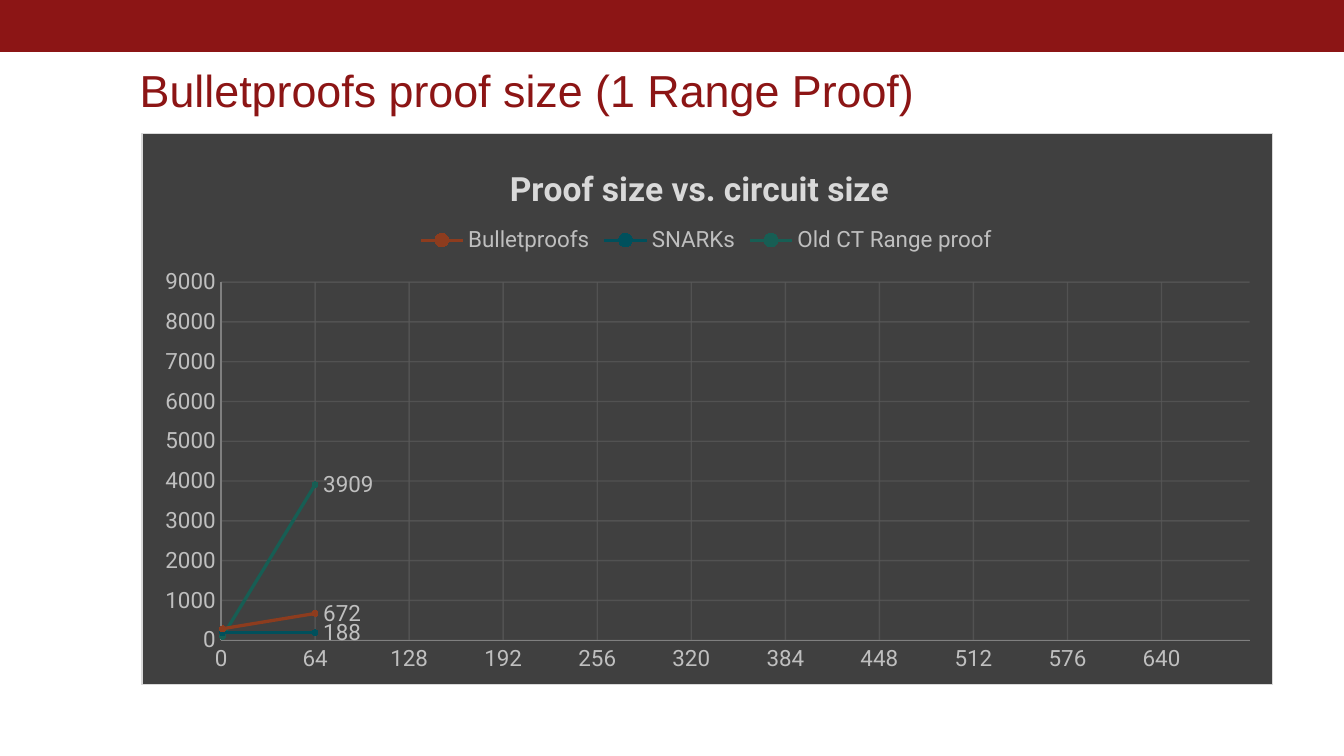
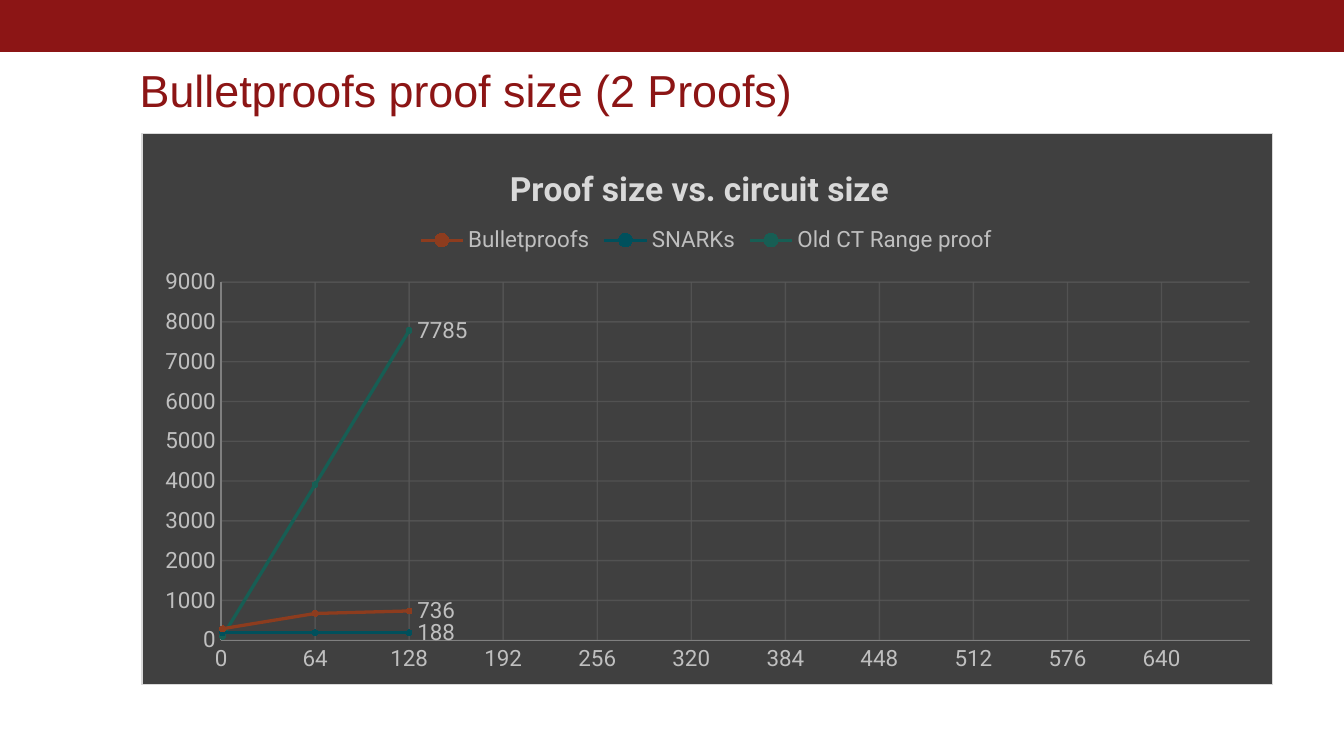
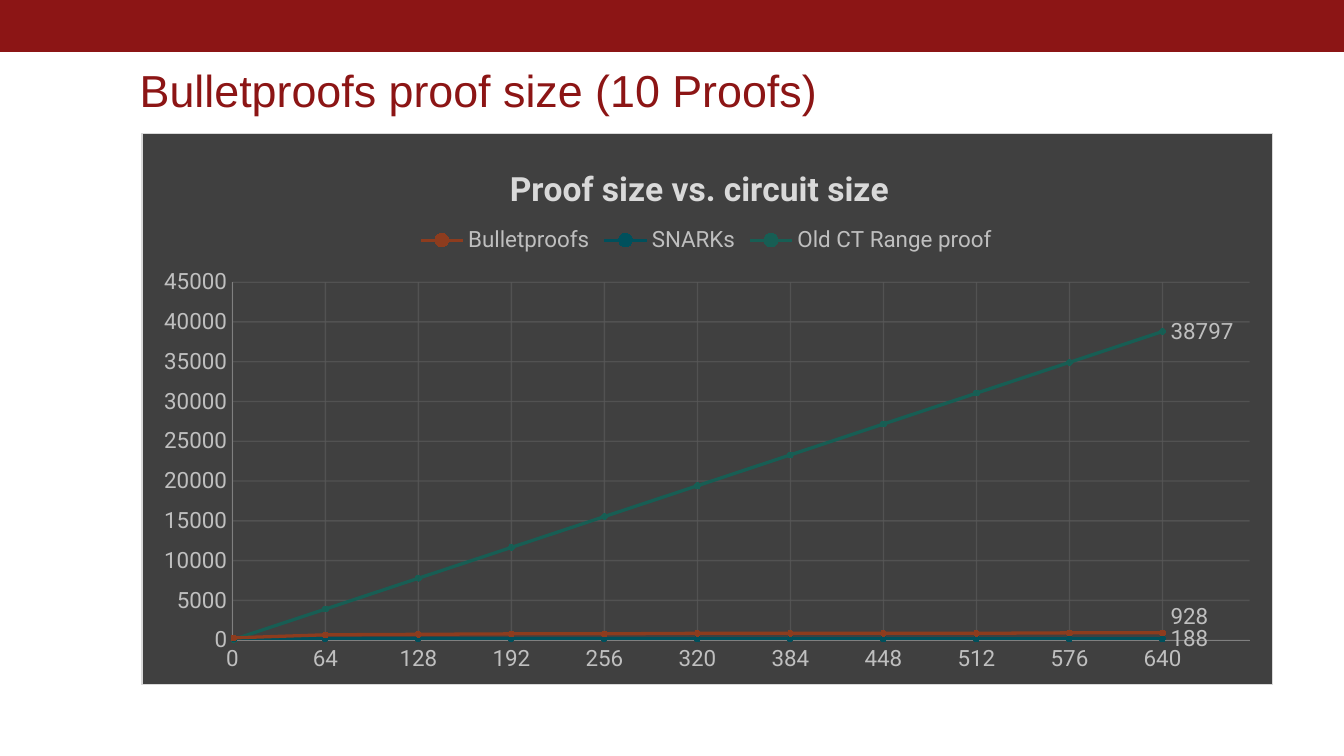
from pptx import Presentation
from pptx.chart.data import XyChartData
from pptx.dml.color import RGBColor
from pptx.enum.chart import (XL_CHART_TYPE, XL_LABEL_POSITION, XL_LEGEND_POSITION,
                             XL_MARKER_STYLE, XL_TICK_MARK)
from pptx.enum.shapes import MSO_SHAPE
from pptx.enum.text import MSO_ANCHOR, MSO_AUTO_SIZE, PP_ALIGN
from pptx.oxml import parse_xml
from pptx.oxml.ns import nsdecls
from pptx.util import Cm, Pt

COLOURS = {
    "cardinal": "8C1515", "panel": "404040", "border": "D9D9D9", "heading": "D9D9D9",
    "label": "BFBFBF", "axis": "808080", "grid": "595959",
}
SERIES_COLOURS = {
    "Bulletproofs": ("8D3C1E", "DB7B57"),
    "SNARKs": ("00505C", "04DEFF"),
    "Old CT Range proof": ("175E54", "42D1BC"),
}
PROOF_SIZES = {
    "Bulletproofs": [288, 672, 736, 800, 800, 864, 864, 864, 864, 928, 928],
    "SNARKs": [188] * 11,
    "Old CT Range proof": [93, 3909, 7785, 11662, 15538, 19415, 23291, 27168,
                           31044, 34920, 38797],
}
CIRCUIT_STEP = 64
BAND_BOX = (Cm(-0.03), Cm(0), Cm(25.43), Cm(0.97))
TITLE_BOX = (Cm(2.64), Cm(0.99), Cm(21.41), Cm(1.35))
CHART_BOX = (Cm(2.67), Cm(2.51), Cm(21.39), Cm(10.44))
LABEL_FONT = {"name": "Roboto", "size": Pt(12), "bold": False}
PAGES = [
    {"title": "Bulletproofs proof size (1 Range Proof)", "proofs": 1,
     "scale": {"maximum_scale": 9000}, "plot_left": 0.07, "lifts": {}},
    {"title": "Bulletproofs proof size (2 Proofs)", "proofs": 2,
     "scale": {"minimum_scale": 0}, "plot_left": 0.07, "lifts": {}},
    {"title": "Bulletproofs proof size (10 Proofs)", "proofs": 10,
     "scale": {"minimum_scale": 0}, "plot_left": 0.08, "lifts": {"Bulletproofs": -0.03}},
]


def apply(target, values):
    """Set each named attribute of the target."""
    for name, value in values.items():
        setattr(target, name, value)


def style_font(font, colour, values):
    """Give a font its settings and colour."""
    apply(font, values)
    font.color.rgb = RGBColor.from_string(colour)


def style_line(line, colour, width=0.75):
    """Give a line its colour and width in points."""
    line.color.rgb = RGBColor.from_string(colour)
    line.width = Pt(width)


def style_fill(fill, colour):
    """Fill with one solid colour."""
    fill.solid()
    fill.fore_color.rgb = RGBColor.from_string(colour)


def place(parent, index, **fractions):
    """Position a chart part by fractions of the chart; labels take offsets."""
    for old in parent.xpath("c:layout"):
        parent.remove(old)
    tags = []
    if parent.tag.endswith("plotArea"):
        tags.append('<c:layoutTarget val="inner"/>')
    if not parent.tag.endswith("dLbl"):
        tags.append('<c:xMode val="edge"/><c:yMode val="edge"/>')
    tags += [f'<c:{name} val="{value:.2f}"/>' for name, value in fractions.items()]
    parent.insert(index, parse_xml(
        f'<c:layout {nsdecls("c")}><c:manualLayout>{"".join(tags)}</c:manualLayout></c:layout>'))


def add_band(page, layout, box):
    """Draw the top band and hand it over to the shared layout."""
    band = page.shapes.add_shape(MSO_SHAPE.RECTANGLE, *box)
    band.shadow.inherit = False
    style_fill(band.fill, COLOURS["cardinal"])
    style_line(band.line, COLOURS["cardinal"])
    layout.shapes._spTree.insert(2, band._element)


def add_title(page, text, box):
    """Fill and format the title placeholder."""
    title = page.shapes.title
    apply(title, dict(zip(("left", "top", "width", "height"), box)))
    frame = title.text_frame
    apply(frame, {"text": text, "word_wrap": True, "auto_size": MSO_AUTO_SIZE.NONE,
                  "vertical_anchor": MSO_ANCHOR.BOTTOM, "margin_left": Cm(0),
                  "margin_top": Cm(0.13), "margin_right": Cm(0.25), "margin_bottom": Cm(0.13)})
    para = frame.paragraphs[0]
    apply(para, {"alignment": PP_ALIGN.LEFT, "line_spacing": 0.85})
    style_font(para.runs[0].font, COLOURS["cardinal"], {"name": "Arial", "size": Pt(24)})


def style_axis(axis, scale):
    """Format an axis, its labels and its translucent grid."""
    apply(axis, {"has_major_gridlines": True, "major_tick_mark": XL_TICK_MARK.NONE,
                 "minor_tick_mark": XL_TICK_MARK.NONE, **scale})
    style_line(axis.format.line, COLOURS["axis"])
    style_font(axis.tick_labels.font, COLOURS["label"], LABEL_FONT)
    grid = axis.major_gridlines
    style_line(grid.format.line, COLOURS["grid"])
    for colour in axis._element.xpath("c:majorGridlines//a:srgbClr"):
        colour.append(parse_xml(f'<a:alpha {nsdecls("a")} val="75000"/>'))


def style_series(series, last, lift):
    """Format a curve and label its last point."""
    line_colour, marker_colour = SERIES_COLOURS[series.name]
    series.smooth = True
    style_line(series.format.line, line_colour, 1.75)
    apply(series.marker, {"style": XL_MARKER_STYLE.CIRCLE, "size": 3})
    style_fill(series.marker.format.fill, marker_colour)
    style_line(series.marker.format.line, line_colour)
    label = series.points[last].data_label
    label.position = XL_LABEL_POSITION.RIGHT
    style_font(label.font, COLOURS["label"], LABEL_FONT)
    for flag in series._element.xpath("c:dLbls/c:showVal"):
        flag.set("val", "0")
    if lift:
        place(series._element.xpath("c:dLbls/c:dLbl")[0], 1, x=0, y=lift)


def style_panel(chart):
    """Give the chart area its dark fill and light border."""
    fill = '<a:solidFill><a:srgbClr val="{}"/></a:solidFill>'
    panel = parse_xml(
        f'<c:spPr {nsdecls("c", "a")}>{fill.format(COLOURS["panel"])}'
        f'<a:ln w="{Pt(0.75)}">{fill.format(COLOURS["border"])}</a:ln></c:spPr>')
    chart._chartSpace.xpath("c:chart")[0].addnext(panel)


def add_size_chart(page, box, proofs, scale, plot_left, lifts):
    """Plot proof size against circuit size up to a number of proofs."""
    data = XyChartData()
    for name, sizes in PROOF_SIZES.items():
        curve = data.add_series(name)
        for step, size in enumerate(sizes[:proofs + 1]):
            curve.add_data_point(max(1, step * CIRCUIT_STEP), size)
    chart = page.shapes.add_chart(XL_CHART_TYPE.XY_SCATTER_SMOOTH, *box, data).chart
    apply(chart.font, {"name": "Roboto", "size": Pt(10)})
    style_panel(chart)

    heading = chart.chart_title
    heading.text_frame.text = "Proof size vs. circuit size"
    style_font(heading.text_frame.paragraphs[0].runs[0].font, COLOURS["heading"],
               {"name": "Roboto", "size": Pt(18), "bold": True})
    place(heading._element, 1, x=0.32, y=0.05)

    chart.has_legend = True
    apply(chart.legend, {"position": XL_LEGEND_POSITION.TOP, "include_in_layout": False})
    style_font(chart.legend.font, COLOURS["label"], LABEL_FONT)
    place(chart.legend._element, 1, x=0.24, y=0.16)

    style_axis(chart.category_axis, {"minimum_scale": 0, "maximum_scale": 700,
                                     "major_unit": CIRCUIT_STEP})
    style_axis(chart.value_axis, scale)
    plot = chart.plots[0]
    plot.vary_by_categories = False
    for series in plot.series:
        style_series(series, proofs, lifts.get(series.name))
    place(chart._chartSpace.xpath("c:chart/c:plotArea")[0], 0,
          x=plot_left, y=0.27, w=0.98 - plot_left, h=0.65)


def main():
    """Build the deck of proof size charts."""
    deck = Presentation()
    apply(deck, {"slide_width": Cm(25.4), "slide_height": Cm(14.29)})
    layout = deck.slide_layouts[5]
    for number, content in enumerate(PAGES):
        page = deck.slides.add_slide(layout)
        if number == 0:
            add_band(page, layout, BAND_BOX)
        add_title(page, content["title"], TITLE_BOX)
        add_size_chart(page, CHART_BOX, content["proofs"], content["scale"],
                       content["plot_left"], content["lifts"])
    deck.save("out.pptx")


if __name__ == "__main__":
    main()
